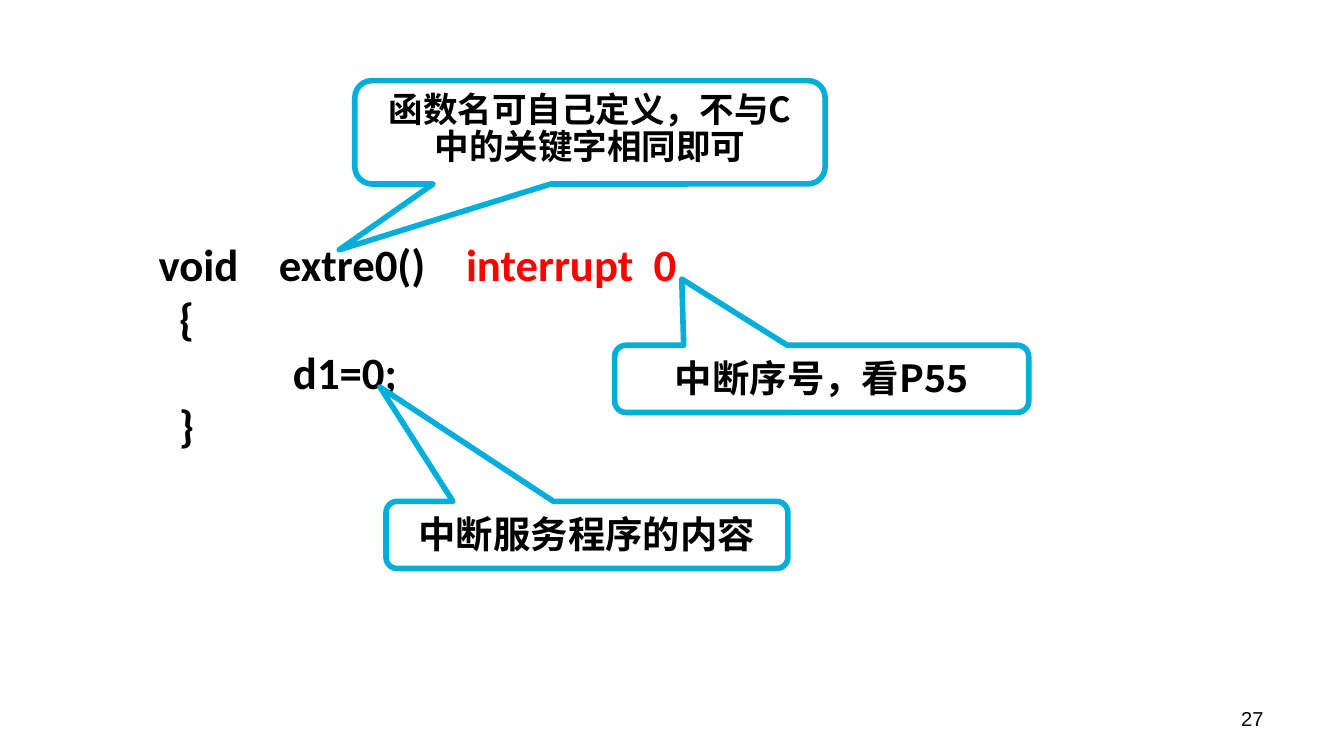
from lxml import etree
from pptx import Presentation
from pptx.dml.color import RGBColor
from pptx.enum import shapes, text
from pptx.oxml.ns import qn
from pptx.util import Pt

BLACK = RGBColor(0, 0, 0)
RED = RGBColor(0xFF, 0, 0)
BLUE = RGBColor(0x04, 0xAE, 0xDA)
CJK = "Noto Sans CJK SC"
CODE_TAB = Pt(72)

# Each code line is a list of (text, colour) parts
CODE = [
    [("void    extre0()    ", BLACK), ("interrupt  0", RED)],
    [("  {", BLACK)],
    [("  \td1=0;", BLACK)],
    [("  }", BLACK)],
]
# text, box (left, top, width, height), pointer offset, font size, line spacing
CALLOUTS = [
    ("函数名可自己定义，不与C中的关键字相同即可",
     (190.1, 43.2, 252, 55.4), (-0.533, 1.137), 18.5, 0.9),
    ("中断序号，看P55",
     (329.3, 185, 221.8, 36), (-0.338, -1.486), 20, 1),
    ("中断服务程序的内容",
     (206.8, 268.6, 215.3, 36), (-0.515, -2.2), 20, 1),
]
PAGE_NUMBER = "27"


def add_box(s, box):
    tf = s.shapes.add_textbox(*map(Pt, box)).text_frame
    tf.word_wrap = True
    return tf


def add_code(s):
    tf = add_box(s, (77.9, 123.3, 563.8, 122.4))
    for i, line in enumerate(CODE):
        p = tf.paragraphs[0] if i == 0 else tf.add_paragraph()
        tabs = etree.SubElement(p._p.get_or_add_pPr(), qn("a:tabLst"))
        etree.SubElement(tabs, qn("a:tab"), pos=str(int(CODE_TAB)), algn="l")
        p.font.name, p.font.size, p.font.bold = "Calibri", Pt(24), True
        for part, color in line:
            r = p.add_run()
            r.text = part
            r.font.color.rgb = color


def add_callout(s, words, box, pointer, size, spacing):
    sp = s.shapes.add_shape(
        shapes.MSO_SHAPE.ROUNDED_RECTANGULAR_CALLOUT, *map(Pt, box))
    sp.adjustments[0], sp.adjustments[1] = pointer
    sp.adjustments[2] = 0.167
    sp.shadow.inherit = False
    sp.fill.background()
    sp.line.color.rgb = BLUE
    sp.line.width = Pt(3)
    tf = sp.text_frame
    tf.word_wrap = True
    tf.vertical_anchor = text.MSO_ANCHOR.TOP
    p = tf.paragraphs[0]
    p.alignment = text.PP_ALIGN.CENTER
    p.line_spacing = spacing
    r = p.add_run()
    r.text = words
    r.font.name, r.font.size, r.font.bold = CJK, Pt(size), True
    r.font.color.rgb = BLACK
    # Chinese characters take the East Asian font
    etree.SubElement(r._r.rPr, qn("a:ea"), typeface=CJK)


def add_page_number(s):
    tf = add_box(s, (516.2, 375.1, 167.8, 21.6))
    tf.vertical_anchor = text.MSO_ANCHOR.MIDDLE
    p = tf.paragraphs[0]
    p.text = PAGE_NUMBER
    p.alignment = text.PP_ALIGN.RIGHT
    p.line_spacing = 0.8
    p.font.name, p.font.size = "Arial", Pt(10.8)
    p.font.color.rgb = BLACK


def main():
    prs = Presentation()
    prs.slide_width, prs.slide_height = Pt(720), Pt(405)
    s = prs.slides.add_slide(prs.slide_layouts[6])
    add_page_number(s)
    add_code(s)
    for callout in CALLOUTS:
        add_callout(s, *callout)
    prs.save("out.pptx")


if __name__ == "__main__":
    main()
